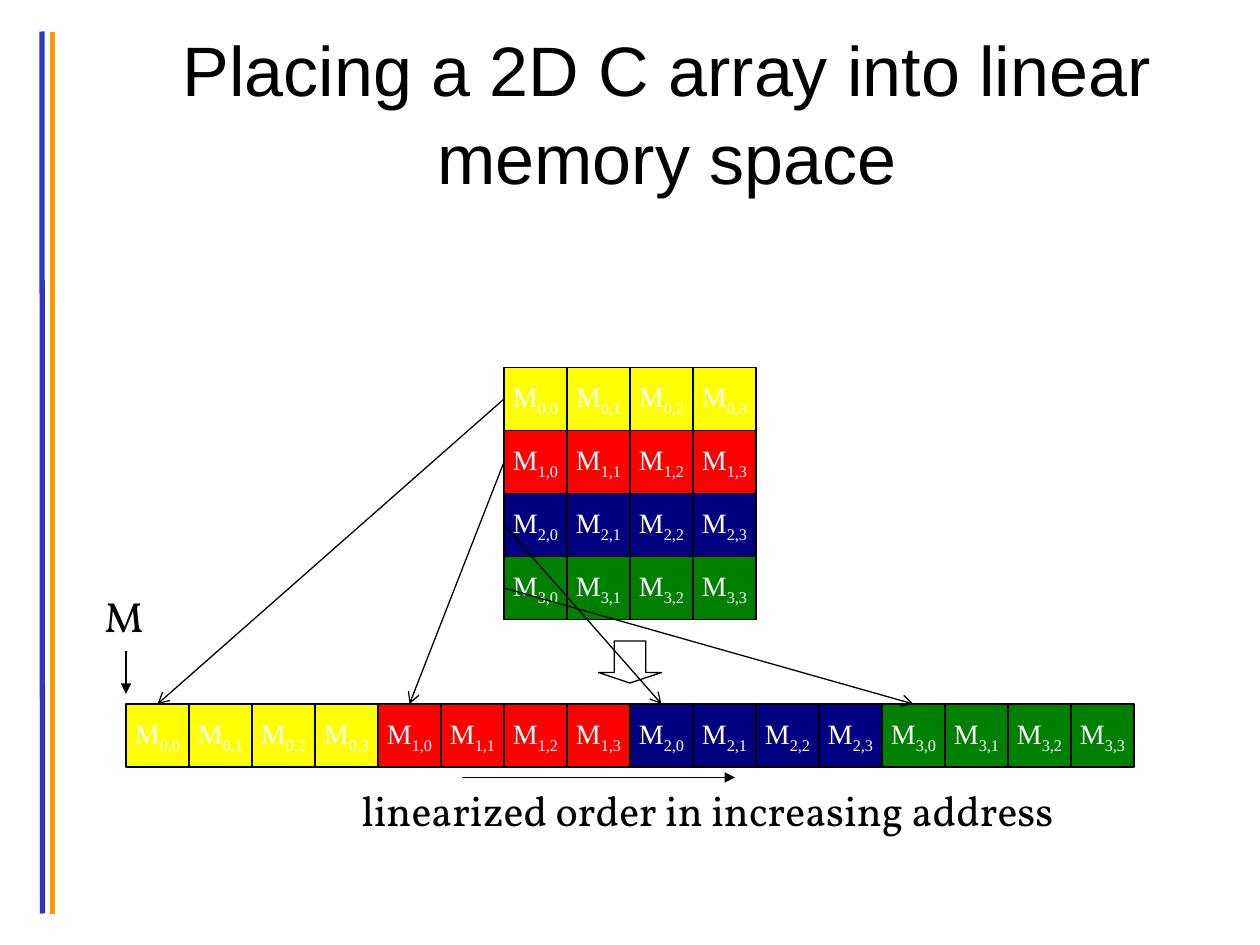
from dataclasses import dataclass
from typing import Optional

from lxml.etree import SubElement
from pptx import Presentation
from pptx.dml.color import RGBColor
from pptx.enum.shapes import MSO_CONNECTOR, MSO_SHAPE
from pptx.enum.text import MSO_ANCHOR, MSO_AUTO_SIZE, PP_ALIGN
from pptx.oxml.ns import qn
from pptx.util import Pt

COLORS = {
    "black": "000000", "white": "FFFFFF", "blue": "3333CC", "orange": "FF9900",
    "yellow": "FFFF00", "red": "FF0000", "navy": "000080", "green": "008000",
}
ROWS = ("yellow", "red", "navy", "green")
SIDE = 36
COUNT = len(ROWS)
GRID_X, GRID_Y = 288, 210
STRIP_X, STRIP_Y = 72, 402.3


@dataclass
class Line:
    x1: float
    y1: float
    x2: float
    y2: float
    color: str = "black"
    width: float = 0.75
    head: Optional[str] = None


@dataclass
class Label:
    text: str
    x: float
    y: float
    width: float
    height: float
    font: str = "Vollkorn"
    size: float = 24


def paint(name: str) -> RGBColor:
    """Look up a colour by name."""
    return RGBColor.from_string(COLORS[name])


def style(font, face: str, size: float, color: str) -> None:
    """Set face, size and colour of a font."""
    font.name = face
    font.size = Pt(size)
    font.color.rgb = paint(color)


def add_line(shapes, line: Line) -> None:
    """Draw a straight line, with an arrowhead if it has one."""
    ends = (Pt(v) for v in (line.x1, line.y1, line.x2, line.y2))
    item = shapes.add_connector(MSO_CONNECTOR.STRAIGHT, *ends)
    item.line.color.rgb = paint(line.color)
    item.line.width = Pt(line.width)
    if line.head:
        SubElement(item.line._get_or_add_ln(), qn("a:tailEnd"), type=line.head)
    SubElement(item._element.spPr, qn("a:effectLst"))


def add_block(shapes, kind, x: float, y: float, width: float, height: float):
    """Draw a preset shape with a thin black outline."""
    item = shapes.add_shape(kind, Pt(x), Pt(y), Pt(width), Pt(height))
    item.shadow.inherit = False
    item.fill.background()
    item.line.color.rgb = paint("black")
    item.line.width = Pt(0.75)
    return item


def add_cell(shapes, row: int, col: int, x: float, y: float) -> None:
    """Draw one array element with its subscript."""
    cell = add_block(shapes, MSO_SHAPE.RECTANGLE, x, y, SIDE, SIDE)
    cell.fill.solid()
    cell.fill.fore_color.rgb = paint(ROWS[row])
    frame = cell.text_frame
    frame.word_wrap = False
    frame.vertical_anchor = MSO_ANCHOR.MIDDLE
    para = frame.paragraphs[0]
    para.alignment = PP_ALIGN.CENTER
    for text in ("M", f"{row},{col}"):
        run = para.add_run()
        run.text = text
        style(run.font, "Times New Roman", 16, "white")
    run.font._element.set("baseline", "-25000")


def add_label(shapes, label: Label):
    """Add a text box and return its frame."""
    box = shapes.add_textbox(Pt(label.x), Pt(label.y), Pt(label.width), Pt(label.height))
    frame = box.text_frame
    frame.text = label.text
    frame.word_wrap = False
    frame.auto_size = MSO_AUTO_SIZE.SHAPE_TO_FIT_TEXT
    style(frame.paragraphs[0].runs[0].font, label.font, label.size, "black")
    return frame


def add_title(shapes, label: Label) -> None:
    """Add the centred, wrapped title."""
    frame = add_label(shapes, label)
    frame.word_wrap = True
    frame.auto_size = MSO_AUTO_SIZE.NONE
    frame.vertical_anchor = MSO_ANCHOR.MIDDLE
    frame.paragraphs[0].alignment = PP_ALIGN.CENTER
    frame.paragraphs[0].line_spacing = 1.05


def main() -> None:
    """Build and save the slide."""
    deck = Presentation()
    deck.slide_width, deck.slide_height = Pt(720), Pt(540)
    shapes = deck.slides.add_slide(deck.slide_layouts[6]).shapes

    add_line(shapes, Line(24, 18, 24.3, 522, "blue", 3))
    add_line(shapes, Line(30.2, 18, 30.2, 522, "orange", 3))

    for row in range(COUNT):
        for col in range(COUNT):
            add_cell(shapes, row, col, GRID_X + col * SIDE, GRID_Y + row * SIDE)
            add_cell(shapes, row, col, STRIP_X + (row * COUNT + col) * SIDE, STRIP_Y)

    add_line(shapes, Line(STRIP_X, 372, STRIP_X, 396.5, head="triangle"))
    add_label(shapes, Label("M", 52.6, 334, 37.4, 36))
    arrow = add_block(shapes, MSO_SHAPE.DOWN_ARROW, 342, 366.3, SIDE, 24)
    arrow.adjustments[0], arrow.adjustments[1] = 0.5, 0.25
    add_label(shapes, Label("linearized order in increasing address", 199.4, 444.5, 415.4, 36))
    add_line(shapes, Line(264, 444.3, 420, 444.3, head="triangle"))

    for row in range(COUNT):
        start = GRID_Y + (row + 0.5) * SIDE
        end = STRIP_X + (row * COUNT + 0.5) * SIDE
        add_line(shapes, Line(GRID_X, start, end, STRIP_Y, head="arrow"))

    add_title(shapes, Label("Placing a 2D C array into linear memory space",
                            54, 18, 654, 90, "Arial", 40))
    deck.save("out.pptx")


main()
